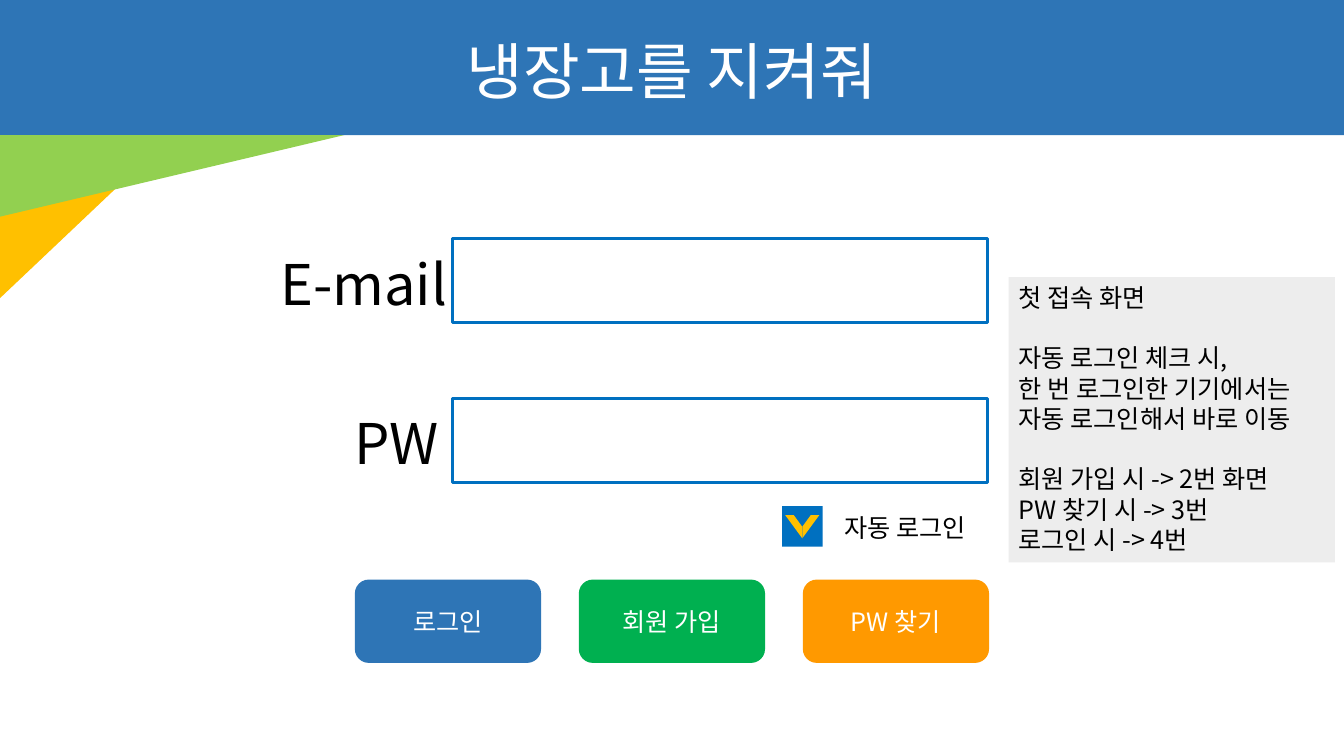
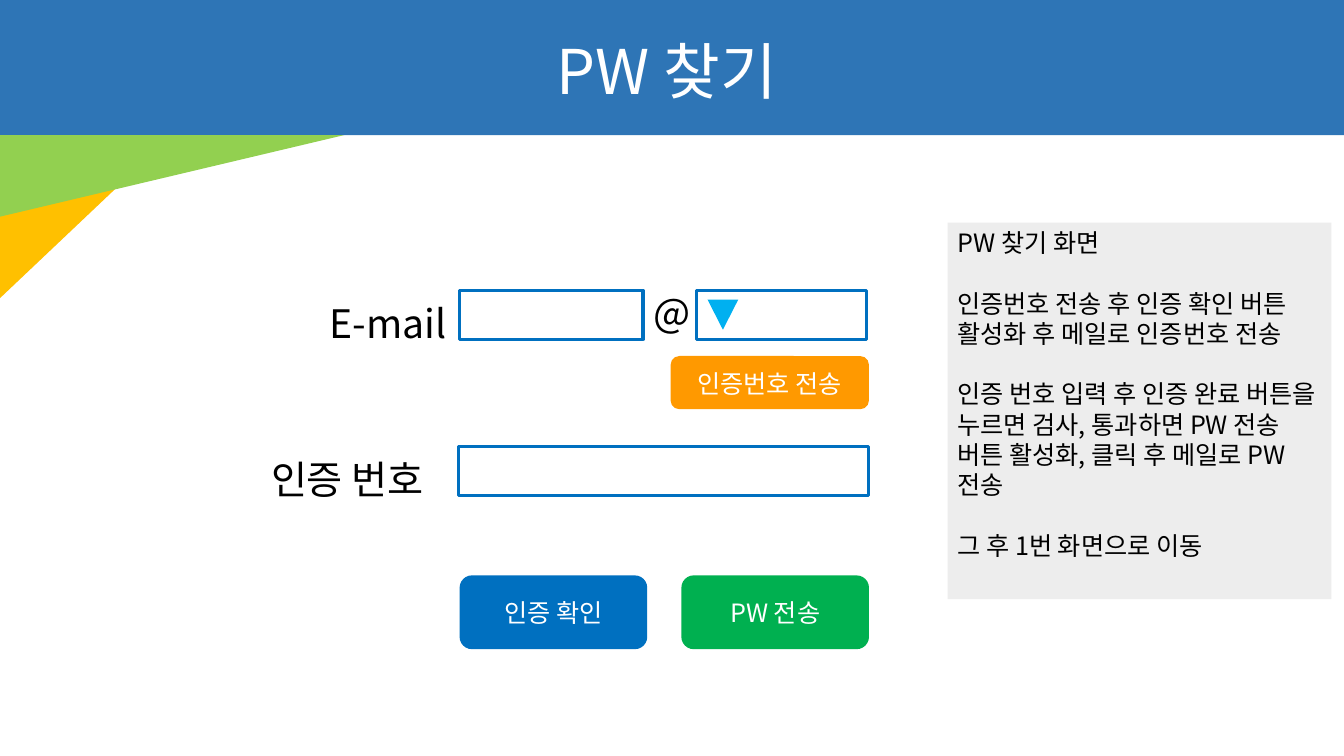
"""Build the login and password recovery screens of a fridge app."""
from typing import NamedTuple

from lxml.etree import SubElement
from pptx import Presentation
from pptx.dml.color import RGBColor as Rgb
from pptx.enum.shapes import MSO_AUTO_SHAPE_TYPE as Kind
from pptx.enum.text import MSO_ANCHOR as Anchor, PP_ALIGN as Align
from pptx.oxml.ns import qn
from pptx.shapes.autoshape import Shape
from pptx.slide import Slide
from pptx.util import Pt

FONT = "Noto Sans CJK KR"
WIDE, HIGH, BAND = 960, 540, 96.5
HUES = {
    "band": "2E75B6", "lime": "92D050", "gold": "FFC000", "blue": "0070C0",
    "sky": "00B0F0", "green": "00B050", "orange": "FF9900", "note": "EDEDED",
    "white": "FFFFFF", "black": "000000",
}


class Box(NamedTuple):
    x: float
    y: float
    w: float
    h: float


class Label(NamedTuple):
    text: str
    box: Box
    size: float


class Button(NamedTuple):
    text: str
    box: Box
    hue: str


def color(name: str) -> Rgb:
    return Rgb.from_string(HUES[name])


def write(shape: Shape, text: str, *, size: float = 18, hue: str = "black",
          align: Align = Align.LEFT, anchor: Anchor = Anchor.TOP,
          lead: float = 1.25) -> None:
    frame = shape.text_frame
    frame.word_wrap = True
    frame.vertical_anchor = anchor
    for part, block in enumerate(text.split("\n\n")):
        for row, line in enumerate(block.split("\n")):
            first = part == row == 0
            para = frame.paragraphs[0] if first else frame.add_paragraph()
            para.alignment = align
            para.line_spacing = Pt(size * lead)
            para.space_before = Pt(size * lead if part and not row else 0)
            run = para.add_run()
            run.text = line
            run.font.name = FONT
            run.font.size = Pt(size)
            run.font.color.rgb = color(hue)
            SubElement(run.font._element, qn("a:ea"), typeface=FONT)


def draw(slide: Slide, kind: Kind, box: Box, *, fill: str = "",
         line: str = "", flip: str = "") -> Shape:
    shape = slide.shapes.add_shape(kind, *map(Pt, box))
    shape.shadow.inherit = False
    if fill:
        shape.fill.solid()
        shape.fill.fore_color.rgb = color(fill)
    else:
        shape.fill.background()
    if line:
        shape.line.color.rgb = color(line)
        shape.line.width = Pt(2.25)
    else:
        shape.line.fill.background()
    if flip:
        shape._element.spPr.xfrm.set(flip, "1")
    return shape


def put_label(slide: Slide, label: Label, hue: str = "black",
              align: Align = Align.LEFT) -> None:
    shape = slide.shapes.add_textbox(*map(Pt, label.box))
    write(shape, label.text, size=label.size, hue=hue, align=align)


def put_button(slide: Slide, button: Button) -> None:
    shape = draw(slide, Kind.ROUNDED_RECTANGLE, button.box, fill=button.hue)
    write(shape, button.text, hue="white", align=Align.CENTER,
          anchor=Anchor.MIDDLE)


def put_note(slide: Slide, text: str, box: Box) -> None:
    write(draw(slide, Kind.RECTANGLE, box, fill="note"), text, lead=1.2)


def put_head(slide: Slide, title: str, mid: float) -> None:
    draw(slide, Kind.RECTANGLE, Box(0, 0, WIDE, BAND), fill="band")
    for hue, wide, high in (("gold", 123, 116.5), ("lime", 246, 58.3)):
        draw(slide, Kind.RIGHT_TRIANGLE, Box(0, BAND, wide, high),
             fill=hue, flip="flipV")
    label = Label(title, Box(mid - 180, 18, 360, 60.5), 44)
    put_label(slide, label, "white", Align.CENTER)


def put_form(slide: Slide, fields: list[Box], labels: list[Label],
             buttons: list[Button]) -> None:
    for field in fields:
        draw(slide, Kind.RECTANGLE, field, line="blue")
    for label in labels:
        put_label(slide, label)
    for button in buttons:
        put_button(slide, button)


def put_check(slide: Slide, x: float, y: float) -> None:
    draw(slide, Kind.RECTANGLE, Box(x, y, 29, 29), fill="blue")
    for step, flip in ((2.2, "flipH"), (14.4, "")):
        draw(slide, Kind.DIAGONAL_STRIPE, Box(x + step, y + 6.4, 12.2, 16.6),
             fill="gold", flip=flip)


def show_login(slide: Slide) -> None:
    put_head(slide, "냉장고를 지켜줘", 480)
    put_note(slide, "첫 접속 화면\n\n자동 로그인 체크 시,\n"
             "한 번 로그인한 기기에서는 자동 로그인해서 바로 이동\n\n"
             "회원 가입 시 -> 2번 화면\nPW 찾기 시 -> 3번\n로그인 시 -> 4번",
             Box(720.5, 198, 233, 203.7))
    names = (("로그인", "band"), ("회원 가입", "green"), ("PW 찾기", "orange"))
    put_form(
        slide,
        [Box(323, y, 382.5, 60) for y in (170.5, 284.5)],
        [Label("E-mail", Box(193, 172.8, 171, 55.5), 40),
         Label("PW", Box(246, 286.6, 77.5, 55.5), 40),
         Label("자동 로그인", Box(596, 361.5, 232, 29), 18)],
        [Button(text, Box(253.5 + 160 * i, 414, 133, 59.5), hue)
         for i, (text, hue) in enumerate(names)])
    put_check(slide, 558.7, 361.5)


def show_reset(slide: Slide) -> None:
    put_head(slide, "PW 찾기", 476.5)
    put_note(slide, "PW 찾기 화면\n\n"
             "인증번호 전송 후 인증 확인 버튼 활성화 후 메일로 인증번호 전송\n\n"
             "인증 번호 입력 후 인증 완료 버튼을 누르면 검사, 통과하면 "
             "PW 전송 버튼 활성화, 클릭 후 메일로 PW 전송\n\n"
             "그 후 1번 화면으로 이동", Box(676.8, 159, 274.3, 269))
    names = (("인증 확인", "blue"), ("PW 전송", "green"))
    put_form(
        slide,
        [Box(328.3, 207.5, 131, 35), Box(497.5, 207.5, 121.5, 35),
         Box(327.5, 319, 293, 35)],
        [Label("E-mail", Box(228.3, 209, 104, 29), 28),
         Label("@", Box(459.4, 201, 92, 29), 28),
         Label("인증 번호", Box(186.5, 320.4, 142, 41), 28)],
        [Button("인증번호 전송", Box(479, 254.3, 141.7, 38), "orange")]
        + [Button(text, Box(328.3 + 158.4 * i, 411, 134, 52.7), hue)
           for i, (text, hue) in enumerate(names)])
    draw(slide, Kind.ISOSCELES_TRIANGLE, Box(505.4, 214, 22, 21.6),
         fill="sky", flip="flipV")


def main() -> None:
    deck = Presentation()
    deck.slide_width, deck.slide_height = Pt(WIDE), Pt(HIGH)
    for show in (show_login, show_reset):
        show(deck.slides.add_slide(deck.slide_layouts[6]))
    deck.save("out.pptx")


if __name__ == "__main__":
    main()
